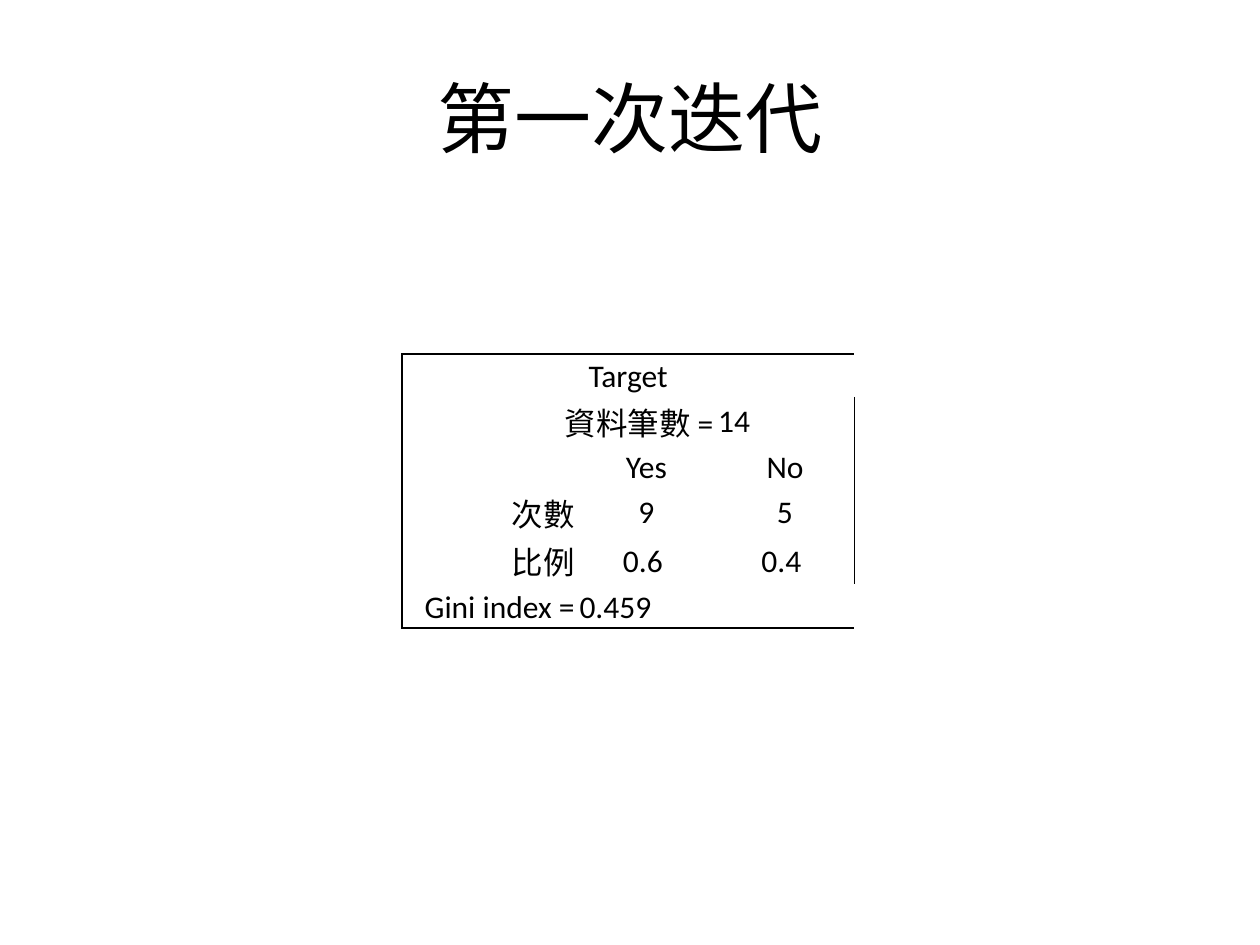
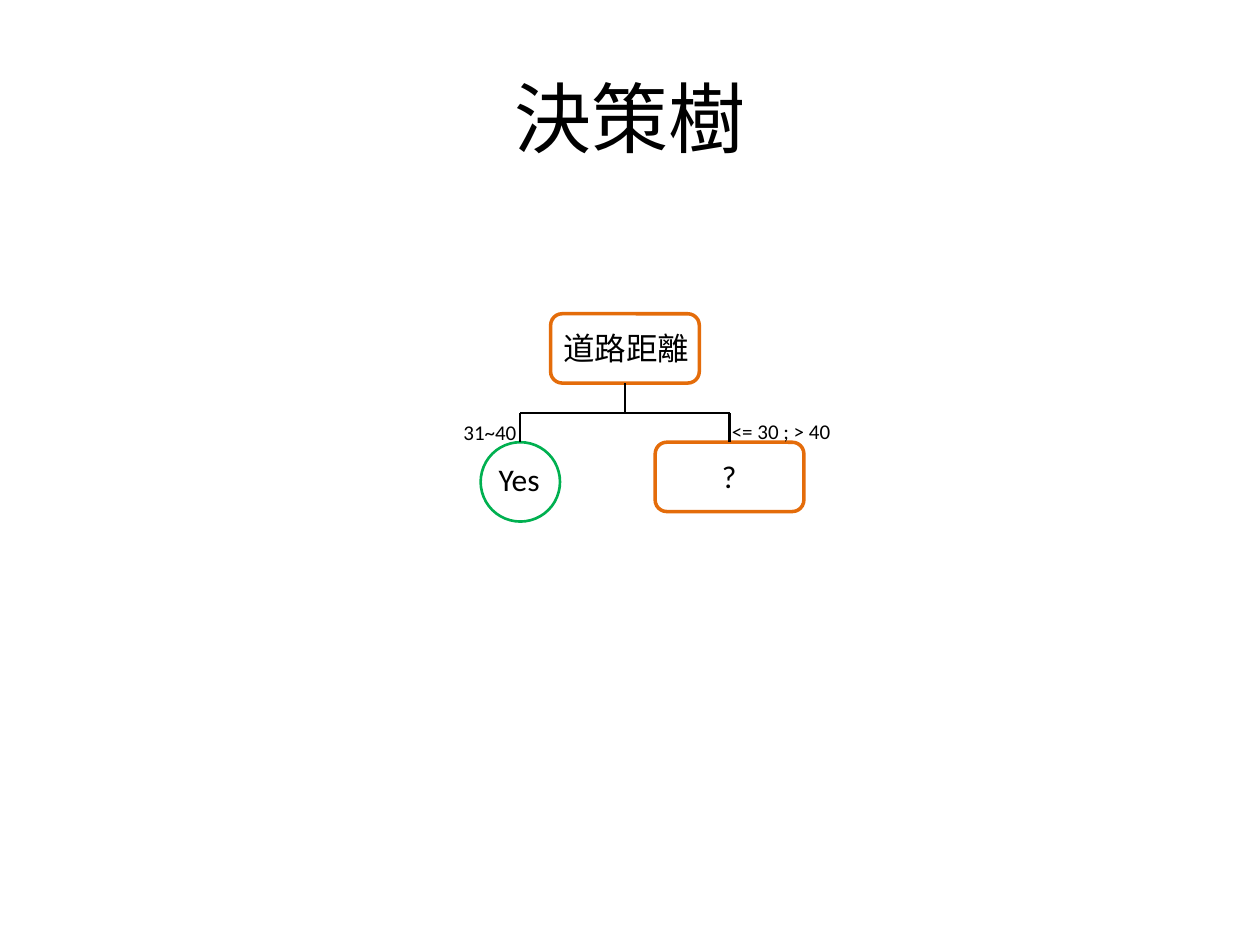
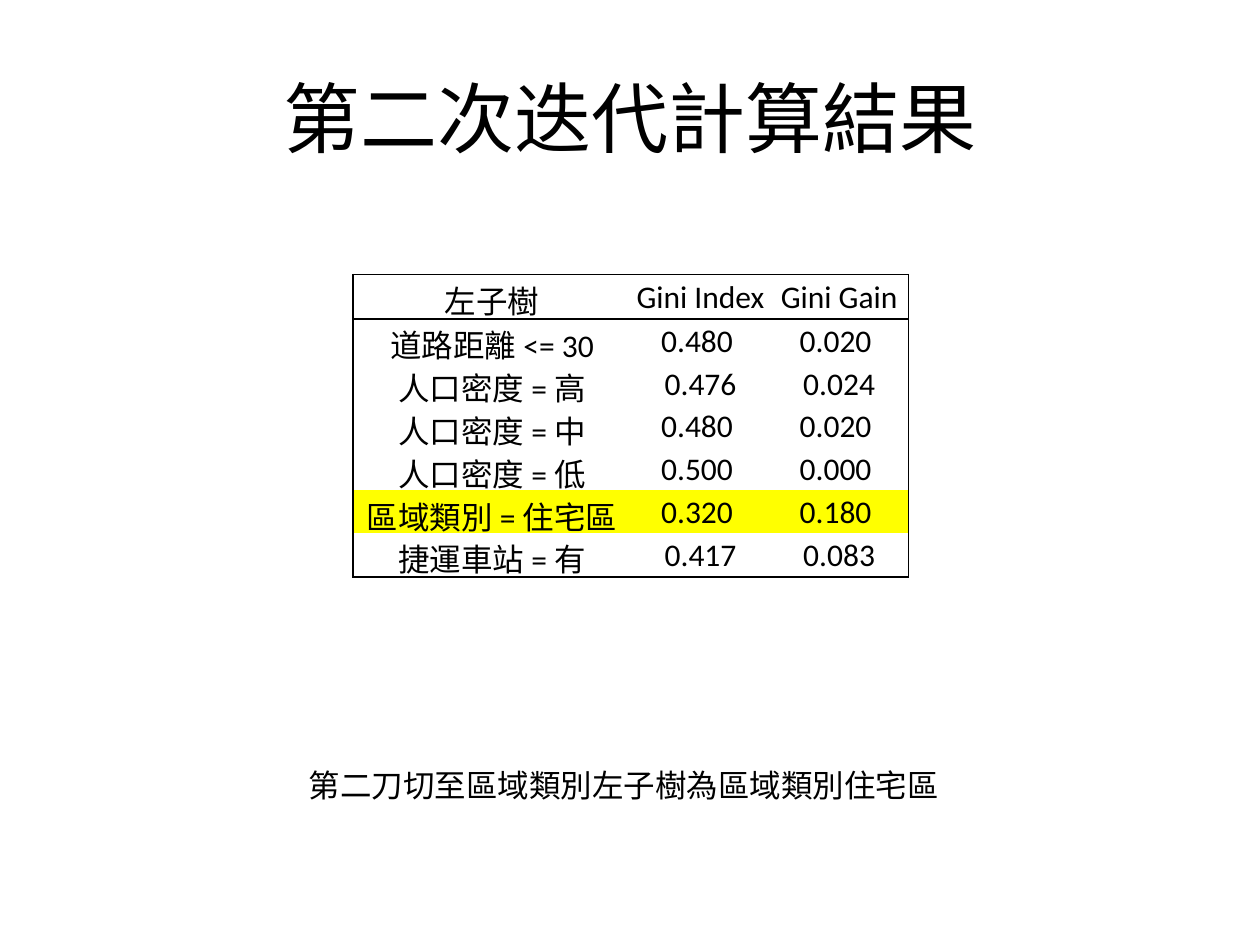
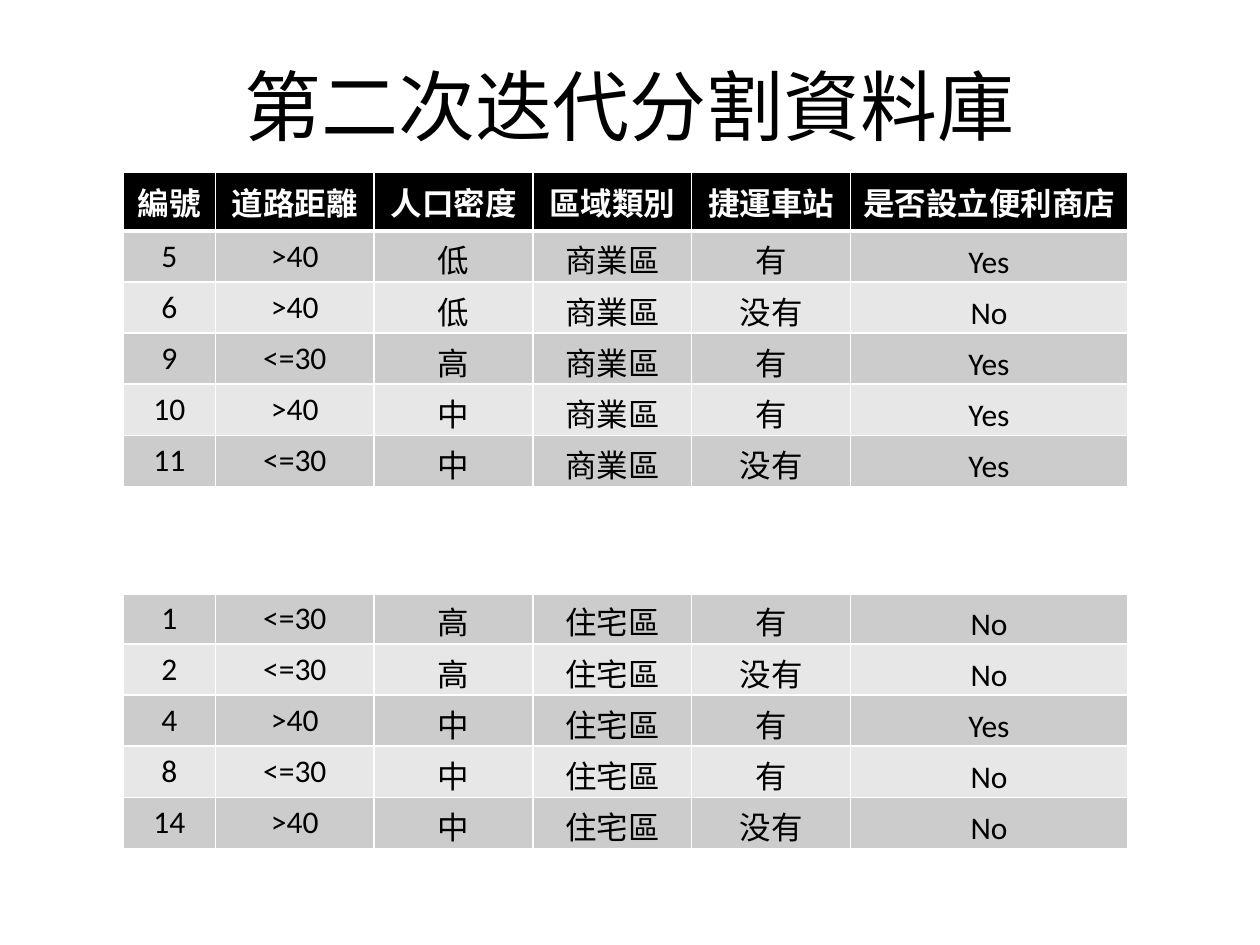
from dataclasses import dataclass
from pptx import Presentation
from pptx import util as u
from pptx.dml.color import RGBColor
from pptx.enum import shapes, text
from pptx.oxml import ns
from lxml import etree


@dataclass(frozen=True)
class Theme:
    """Colours, fonts and type sizes shared by all slides."""
    ink: str = "000000"
    paper: str = "FFFFFF"
    branch: str = "E46C0A"
    leaf: str = "00B050"
    highlight: str = "FFFF00"
    bands: tuple = ("CCCCCC", "E7E7E7")
    latin: str = "Calibri"
    cjk: str = "Noto Sans CJK SC"
    title: int = 44
    body: int = 18
    label: int = 12


THEME = Theme()
ALIGN = text.PP_ALIGN
ANCHOR = text.MSO_ANCHOR
PLAIN_MARGINS = (0.02, 0.02, 0.02, 0)
BAND_MARGINS = (0.01, 0.01, 0.01, 0)
CELL_MARGINS = (0.1, 0.05, 0.1, 0.05)


def inches(*lengths):
    """Turn numbers into lengths in inches."""
    return [u.Inches(length) for length in lengths]


def assign(target, values):
    """Set every attribute named in a dict of format values."""
    for name, value in values.items():
        setattr(target, name, value)


def write(frame, words, size, align=ALIGN.LEFT, color=THEME.ink, face=THEME.latin, bold=False):
    """Write one formatted paragraph into a text frame."""
    frame.text = words
    paragraph = frame.paragraphs[0]
    paragraph.alignment = align
    font = paragraph.runs[0].font if paragraph.runs else paragraph.font
    assign(font, {"size": u.Pt(size), "name": face, "bold": bold})
    font.color.rgb = RGBColor.from_string(color)


def titled_slide(deck, heading, top=0.3):
    """Add a slide with its title in the template's placeholder."""
    slide = deck.slides.add_slide(deck.slide_layouts[5])
    title = slide.shapes.title
    assign(title, dict(zip(("left", "top", "width", "height"), inches(0.5, top, 9, 1.25))))
    title.text_frame.vertical_anchor = ANCHOR.MIDDLE
    write(title.text_frame, heading, THEME.title, ALIGN.CENTER, face=THEME.cjk)
    return slide


def label(slide, box, words, size=THEME.body, face=THEME.latin):
    """Place an unwrapped line of text that fits its box."""
    frame = slide.shapes.add_textbox(*inches(*box)).text_frame
    write(frame, words, size, face=face)
    assign(frame, {"word_wrap": False, "auto_size": text.MSO_AUTO_SIZE.SHAPE_TO_FIT_TEXT})


def outline(slide, kind, box, color, width):
    """Draw an unfilled node of the tree."""
    node = slide.shapes.add_shape(kind, *inches(*box))
    node.shadow.inherit = False
    node.fill.background()
    node.line.color.rgb = RGBColor.from_string(color)
    node.line.width = u.Pt(width)


def link(slide, start, end):
    """Draw a straight black line of the tree."""
    line = slide.shapes.add_connector(shapes.MSO_CONNECTOR.STRAIGHT, *inches(*start, *end))
    line.line.color.rgb = RGBColor.from_string(THEME.ink)
    line.line.width = u.Pt(1.25)
    etree.SubElement(line.element.spPr, ns.qn("a:effectLst"))


def border(cell, edges):
    """Draw the given edges of a cell, as side to (colour, points), and hide the others."""
    properties = cell._tc.get_or_add_tcPr()
    for side in "LRTB":
        color, points = edges.get(side, (None, 1))
        edge = etree.SubElement(properties, ns.qn(f"a:ln{side}"), w=str(u.Pt(points)))
        if color:
            fill = etree.SubElement(edge, ns.qn("a:solidFill"))
            etree.SubElement(fill, ns.qn("a:srgbClr"), val=color)
        else:
            etree.SubElement(edge, ns.qn("a:noFill"))


def grid(slide, origin, widths, heights, rows, cell_format):
    """Add a table whose cells take their look from cell_format(row, column)."""
    size = (sum(widths), sum(heights))
    table = slide.shapes.add_table(len(rows), len(widths), *inches(*origin, *size)).table
    for column, width in zip(table.columns, widths):
        column.width = u.Inches(width)
    for row, height in zip(table.rows, heights):
        row.height = u.Inches(height)
    for r, row in enumerate(rows):
        for c, words in enumerate(row):
            cell, look = table.cell(r, c), cell_format(r, c)
            write(cell.text_frame, words, THEME.body, **look.get("type", {}))
            border(cell, look["edges"])
            if look.get("fill"):
                cell.fill.solid()
                cell.fill.fore_color.rgb = RGBColor.from_string(look["fill"])
            else:
                cell.fill.background()
            sides = ("margin_left", "margin_top", "margin_right", "margin_bottom")
            assign(cell, dict(zip(sides, inches(*look["margins"]))))
            cell.vertical_anchor = look["anchor"]
    return table


def framed(r, c, last_row, last_column):
    """Give the look of a cell in a table with only an outer frame."""
    sides = {"L": c == 0, "R": c == last_column, "T": r == 0, "B": r == last_row}
    edges = {side: (THEME.ink, 1) for side, drawn in sides.items() if drawn}
    return {"edges": edges, "margins": PLAIN_MARGINS, "anchor": ANCHOR.MIDDLE}


def target_summary(slide, origin):
    """Place the counts, ratios and Gini index of the target."""
    rows = [("Target", "", ""), ("資料筆數 =", "", "14"), ("", "Yes", "No"),
            ("次數", "9", "5"), ("比例", "0.6 ", "0.4 "), ("Gini index =", "0.459 ", "")]
    left_aligned = {(1, 2), (5, 1)}

    def summary_cell(r, c):
        """Align row names right, values centred and totals left."""
        align = ALIGN.RIGHT if c == 0 and r else ALIGN.CENTER
        align = ALIGN.LEFT if (r, c) in left_aligned else align
        return {**framed(r, c, 5, 2), "type": {"align": align}}

    table = grid(slide, origin, (1.39, 1.1, 1.1), [0.34] * 5 + [0.35], rows, summary_cell)
    for r, first, last in ((0, 0, 2), (1, 0, 1), (5, 1, 2)):
        table.cell(r, first).merge(table.cell(r, last))


def decision_tree(slide, origin):
    """Place the root, its two branches and their conditions."""
    left, top = origin
    width, height, leaf = 1.18, 0.55, 0.63
    root_x, yes_x, open_x = left + 1.38, left + 0.55, left + 2.21
    root_bottom, rail, child_top = top + height, top + 0.79, top + 1.02
    rounded = shapes.MSO_SHAPE.ROUNDED_RECTANGLE
    for center, y in ((root_x, top), (open_x, child_top)):
        outline(slide, rounded, (center - width / 2, y, width, height), THEME.branch, 2)
    outline(slide, shapes.MSO_SHAPE.OVAL, (yes_x - leaf / 2, child_top, leaf, leaf), THEME.leaf, 1.5)
    link(slide, (root_x, root_bottom), (root_x, rail))
    link(slide, (yes_x, rail), (open_x, rail))
    for child_x in (open_x, yes_x):
        link(slide, (child_x, rail), (child_x, child_top))
    label(slide, (left + 0.79, top + 0.07, 1.21, 0.4), "道路距離", face=THEME.cjk)
    label(slide, (left + 0.28, child_top + 0.09, 0.53, 0.4), "Yes")
    label(slide, (left + 2.05, child_top + 0.07, 0.32, 0.4), "?")
    label(slide, (left, rail, 0.63, 0.3), "31~40", THEME.label)
    label(slide, (left + 2.13, rail - 0.01, 1.04, 0.3), "<= 30 ; > 40 ", THEME.label)


def gini_results(slide, origin):
    """Place the Gini table with the best split highlighted."""
    rows = [("左子樹", "Gini Index", "Gini Gain"),
            ("道路距離 <= 30", "0.480 ", "0.020 "),
            ("人口密度 = 高", "0.476", "0.024"),
            ("人口密度 = 中", "0.480 ", "0.020 "),
            ("人口密度 = 低", "0.500 ", "0.000 "),
            ("區域類別 = 住宅區", "0.320 ", "0.180 "),
            ("捷運車站 = 有", "0.417", "0.083")]
    best = 5

    def result_cell(r, c):
        """Rule off the header and fill the best row."""
        look = framed(r, c, len(rows) - 1, 2)
        if r < 2:
            look["edges"]["TB"[r == 0]] = (THEME.ink, 1)
        return {**look, "edges": {**look["edges"], **({"T": (THEME.ink, 1)} if r == 0 else {})},
                "fill": THEME.highlight if r == best else None, "type": {"align": ALIGN.CENTER}}

    grid(slide, origin, (2.21, 1.1, 1.1), [0.35] + [0.34] * 5 + [0.35], rows, result_cell)


def banded_records(slide, origin, header, records):
    """Place a banded table of records under a header row."""
    has_header = any(header)

    def record_cell(r, c):
        """Tell the header, the number columns and the category columns apart."""
        edges = {side: (THEME.paper, 1) for side in "LRTB"}
        if r < 2:
            edges["B" if r == 0 else "T"] = (THEME.paper, 3)
        fill = THEME.bands[(r - 1) % 2] if r else THEME.ink if has_header else None
        category = r > 0 and c > 1
        return {"edges": edges, "fill": fill,
                "margins": BAND_MARGINS if category else CELL_MARGINS,
                "anchor": ANCHOR.BOTTOM if category else ANCHOR.TOP,
                "type": {"align": ALIGN.CENTER, "bold": r == 0,
                         "color": THEME.ink if r else THEME.paper}}

    rows = [header, *records]
    grid(slide, origin, [0.73] + [1.26] * 4 + [2.2], [0.405] * len(rows), rows, record_cell)


def build():
    """Build the four slides and save the deck."""
    deck = Presentation()
    assign(deck, {"slide_width": u.Inches(10), "slide_height": u.Inches(7.5)})

    target_summary(titled_slide(deck, "第一次迭代"), (3.19, 2.81))
    decision_tree(titled_slide(deck, "決策樹"), (3.58, 2.49))

    results = titled_slide(deck, "第二次迭代計算結果")
    label(results, (2.35, 6.03, 5.25, 0.4), "第二刀切至區域類別左子樹為區域類別住宅區")
    gini_results(results, (2.8, 2.18))

    split = titled_slide(deck, "第二次迭代分割資料庫", top=0.21)
    header = ("編號", "道路距離", "人口密度", "區域類別", "捷運車站", "是否設立便利商店")
    commercial = [("5", ">40", "低", "商業區", "有", "Yes"),
                  ("6", ">40", "低", "商業區", "没有", "No"),
                  ("9", "<=30", "高", "商業區", "有", "Yes"),
                  ("10", ">40", "中", "商業區", "有", "Yes"),
                  ("11", "<=30", "中", "商業區", "没有", "Yes")]
    residential = [("1", "<=30", "高", "住宅區", "有", "No"),
                   ("2", "<=30", "高", "住宅區", "没有", "No"),
                   ("4", ">40", "中", "住宅區", "有", "Yes"),
                   ("8", "<=30", "中", "住宅區", "有", "No"),
                   ("14", ">40", "中", "住宅區", "没有", "No")]
    banded_records(split, (0.98, 1.37), header, commercial)
    banded_records(split, (0.98, 4.3), [""] * len(header), residential)
    deck.save("out.pptx")


build()
